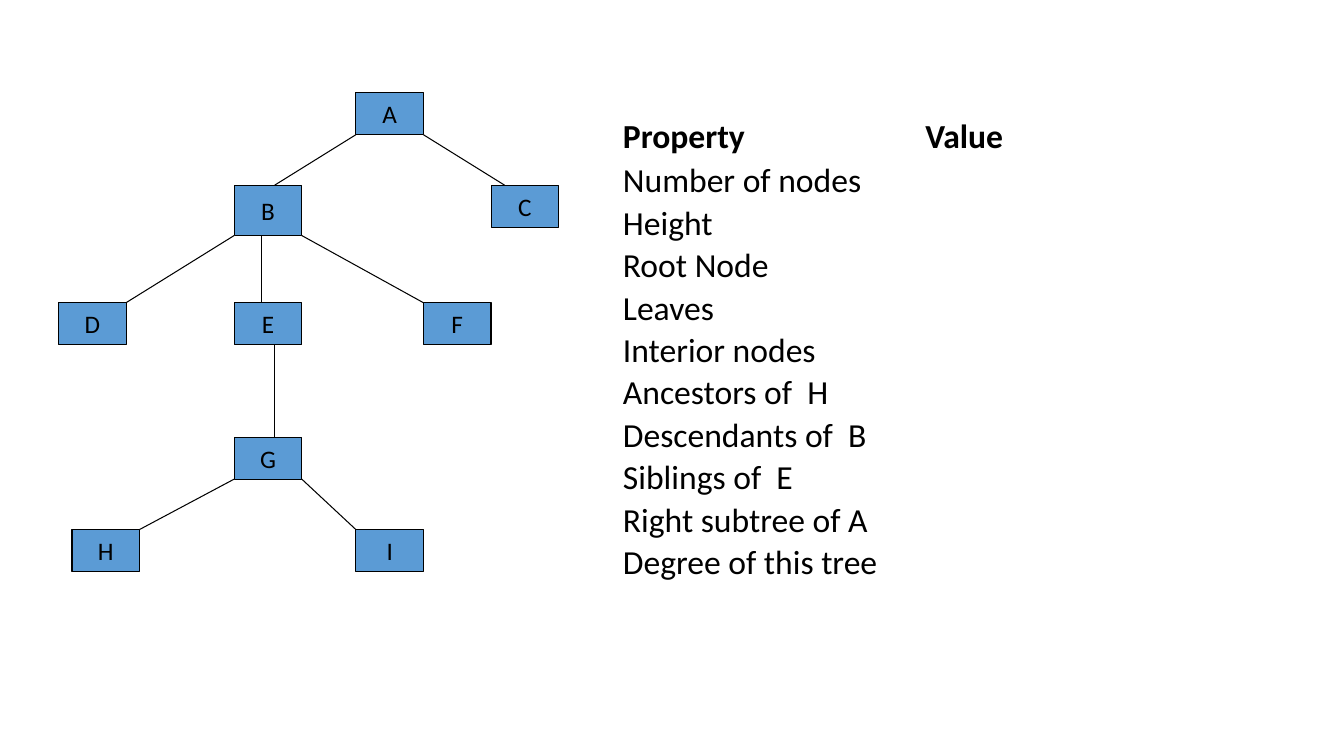
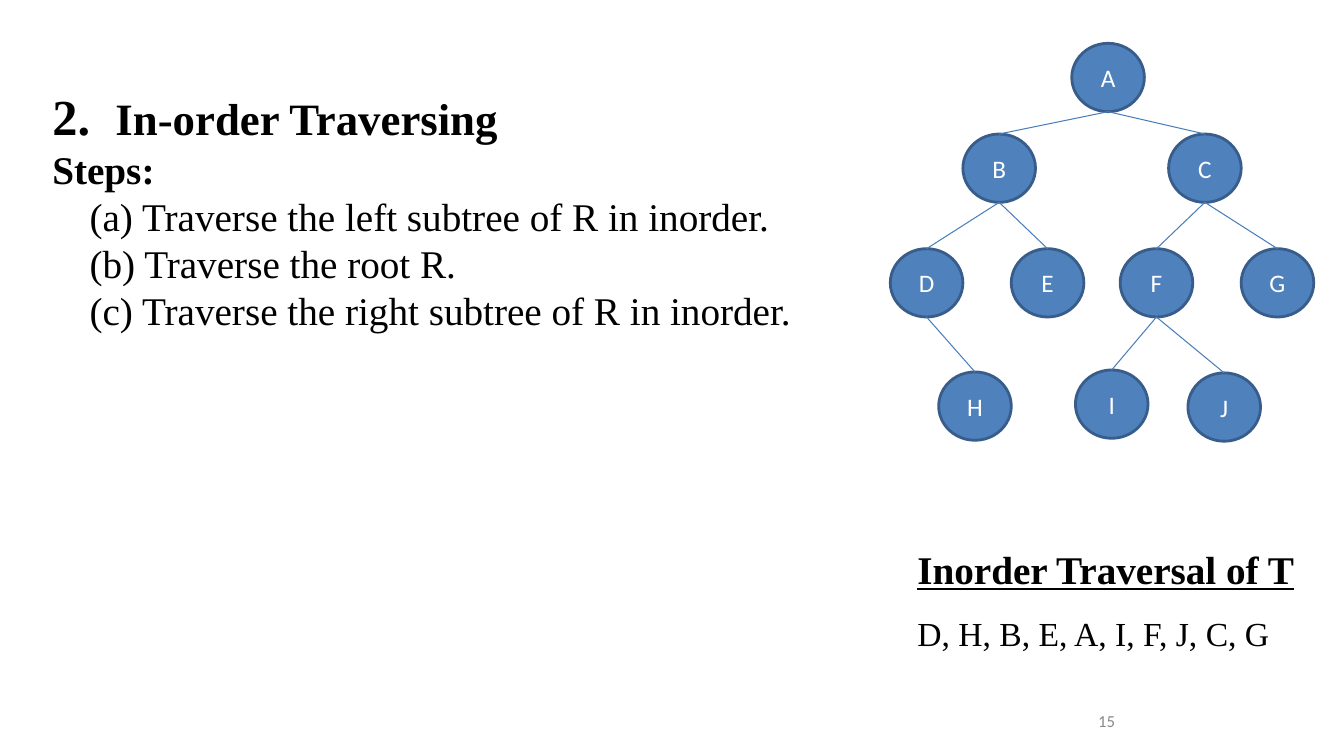
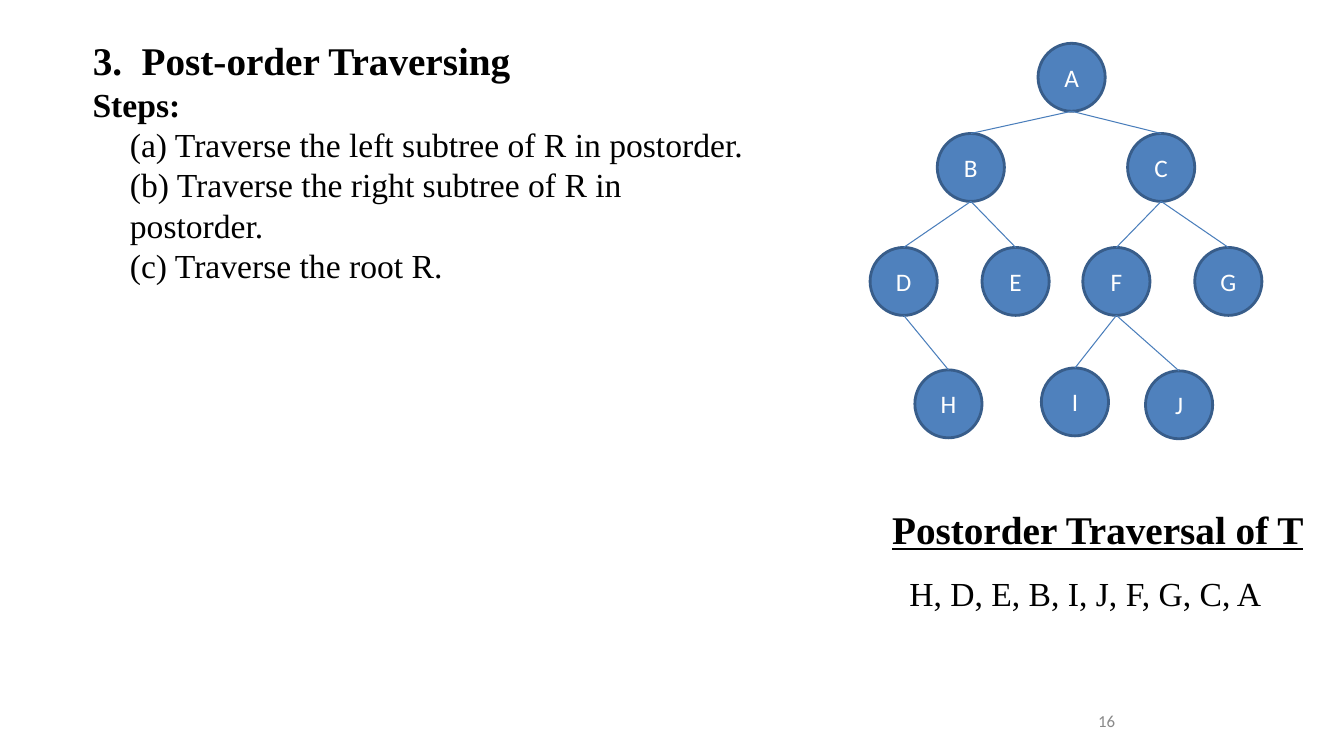
from dataclasses import dataclass
from typing import Any, NamedTuple

from lxml import etree
from pptx import Presentation
from pptx import util as u
from pptx.dml.color import RGBColor
from pptx.enum import shapes, text
from pptx.oxml import ns

BLACK = RGBColor(0x00, 0x00, 0x00)
WHITE = RGBColor(0xFF, 0xFF, 0xFF)
GRAY = RGBColor(0x89, 0x89, 0x89)
SKY = RGBColor(0x5B, 0x9B, 0xD5)
BLUE = RGBColor(0x4F, 0x81, 0xBD)
NAVY = RGBColor(0x38, 0x5D, 0x8A)
EDGE_BLUE = RGBColor(0x4A, 0x7E, 0xBB)

SANS, SERIF = "Calibri", "Times New Roman"
TITLE_ONLY, BLANK = 5, 6
INDENT = 0.37
TAB_STOP = 3


class Box(NamedTuple):
    left: float
    top: float
    width: float
    height: float

    def emu(self) -> list[int]:
        return [u.Inches(v) for v in self]


class Grid(NamedTuple):
    """Origin of a tree and the size of one column and one row, in inches."""
    left: float
    top: float
    col: float
    row: float

    def point(self, col: float, row: float) -> tuple[int, int]:
        return (u.Inches(self.left + col * self.col),
                u.Inches(self.top + row * self.row))


class Node(NamedTuple):
    label: str
    col: float
    row: float
    cols: float
    rows: float


class NodeStyle(NamedTuple):
    preset: shapes.MSO_SHAPE
    fill: RGBColor
    line: RGBColor
    weight: float
    color: RGBColor
    wrap: bool


@dataclass
class Para:
    """One paragraph; each run is a pair of wording and size."""
    runs: list[tuple[str, float]]
    bold: bool = False
    underline: bool = False
    indent: float = 0
    fmt: dict[str, Any] | None = None


@dataclass
class Traversal:
    number: str
    title: Para
    title_box: Box
    size: float
    steps: list[str]
    steps_height: float
    grid: Grid
    result_box: Box
    result: list[Para]


RECT_STYLE = NodeStyle(shapes.MSO_SHAPE.RECTANGLE, SKY, BLACK, 0.75, BLACK, False)
OVAL_STYLE = NodeStyle(shapes.MSO_SHAPE.OVAL, BLUE, NAVY, 2, WHITE, True)

RECT_GRID = Grid(0.58, 0.92, 4.29 / 32, 1 / 12)
RECT_NODES = [
    Node(label, col, row, 5, 6 if label == "B" else 5)
    for label, col, row in [
        ("A", 22, 0), ("B", 13, 11), ("C", 32, 11), ("D", 0, 25), ("E", 13, 25),
        ("F", 27, 25), ("G", 13, 41), ("H", 1, 52), ("I", 22, 52)]]
RECT_EDGES = [
    ((27, 5), (33, 11)), ((22, 5), (16, 11)), ((15, 17), (15, 25)),
    ((13, 17), (5, 25)), ((18, 17), (27, 25)), ((16, 30), (16, 41)),
    ((18, 46), (22, 52)), ((13, 46), (6, 52))]

OVAL_NODES = [
    Node(label, col, row, 6, 20.8)
    for label, col, row in [
        ("A", 15, 0), ("B", 6, 27.6), ("C", 23, 27.6), ("D", 0, 62.5),
        ("E", 10, 62.5), ("F", 19, 62.5), ("G", 29, 62.5), ("H", 4, 100),
        ("I", 15.3, 99.4), ("J", 24.6, 100.3)]]
OVAL_EDGES = ["AB", "AC", "BE", "BD", "CG", "CF", "DH", "FI", "FJ"]

PROPERTIES = [
    "Number of nodes", "Height", "Root Node", "Leaves", "Interior nodes",
    "Ancestors of  H", "Descendants of  B", "Siblings of  E",
    "Right subtree of A", "Degree of this tree"]

LOOSE = {"line_spacing": 1.5}
TRAVERSALS = [
    Traversal(
        "15", Para([("2.  ", 36), ("In-order Traversing", 32)], bold=True),
        Box(0.42, 0.79, 7.62, 0.7), 28,
        ["(a) Traverse the left subtree of R in inorder.",
         "(b) Traverse the root R.",
         "(c) Traverse the right subtree of R in inorder."],
        2.47, Grid(8.83, 0.43, 3.48 / 29, 3.26 / 100), Box(9, 5.13, 4.27, 1.42),
        [Para([("Inorder Traversal of T", 28)], True, True, fmt=LOOSE),
         Para([("D, H, B, E, A, I, F, J, C, G", 24)], fmt=LOOSE)]),
    Traversal(
        "16", Para([("3.  Post-order Traversing", 28)], bold=True),
        Box(0.82, 0.31, 6.83, 0.57), 24,
        ["(a) Traverse the left subtree of R in postorder.",
         "(b) Traverse the right subtree of R in postorder.",
         "(c) Traverse the root R."],
        2.93, Grid(8.63, 0.43, 3.22 / 29, 3.24 / 100), Box(8.75, 4.73, 4.28, 1.42),
        [Para([("Postorder Traversal of T", 28)], True, True, fmt=LOOSE),
         Para([("H, D, E, B, I, J, F, G, C, A", 24)], indent=0.17, fmt=LOOSE)]),
]


def set_all(obj: Any, **values: Any) -> None:
    for name, value in values.items():
        setattr(obj, name, value)


def write(tf: Any, paras: list[Para], font: str, color: RGBColor = BLACK) -> None:
    for i, para in enumerate(paras):
        p = tf.add_paragraph() if i else tf.paragraphs[0]
        set_all(p, **(para.fmt or {}))
        if para.indent:
            p._p.get_or_add_pPr().set("marL", str(u.Inches(para.indent)))
        for wording, size in para.runs:
            r = p.add_run()
            r.text = wording
            set_all(r.font, name=font, size=u.Pt(size), bold=para.bold,
                    underline=para.underline)
            r.font.color.rgb = color


def add_text(s: Any, box: Box, paras: list[Para], font: str,
             color: RGBColor = BLACK) -> Any:
    tf = s.shapes.add_textbox(*box.emu()).text_frame
    set_all(tf, word_wrap=True, auto_size=text.MSO_AUTO_SIZE.SHAPE_TO_FIT_TEXT)
    write(tf, paras, font, color)
    return tf


def add_node(s: Any, grid: Grid, node: Node, style: NodeStyle) -> Any:
    sp = s.shapes.add_shape(
        style.preset, *grid.point(node.col, node.row),
        u.Inches(node.cols * grid.col), u.Inches(node.rows * grid.row))
    sp.shadow.inherit = False
    sp.fill.solid()
    sp.fill.fore_color.rgb = style.fill
    sp.line.color.rgb = style.line
    sp.line.width = u.Pt(style.weight)
    set_all(sp.text_frame, word_wrap=style.wrap,
            vertical_anchor=text.MSO_ANCHOR.MIDDLE)
    label = Para([(node.label, 18)], fmt={"alignment": text.PP_ALIGN.CENTER})
    write(sp.text_frame, [label], SANS, style.color)
    return sp


def add_edge(s: Any, start: tuple[int, int], end: tuple[int, int],
             color: RGBColor) -> Any:
    line = s.shapes.add_connector(shapes.MSO_CONNECTOR.STRAIGHT, *start, *end)
    line.line.color.rgb = color
    line.line.width = u.Pt(0.75)
    etree.SubElement(line._element.spPr, ns.qn("a:effectLst"))
    return line


def add_tab_stop(p: Any, inches: float) -> None:
    tabs = etree.SubElement(p._p.get_or_add_pPr(), ns.qn("a:tabLst"))
    etree.SubElement(tabs, ns.qn("a:tab"), pos=str(u.Inches(inches)), algn="l")


def properties_slide(prs: Any) -> None:
    s = prs.slides.add_slide(prs.slide_layouts[BLANK])
    for node in RECT_NODES:
        add_node(s, RECT_GRID, node, RECT_STYLE)
    for start, end in RECT_EDGES:
        add_edge(s, RECT_GRID.point(*start), RECT_GRID.point(*end), BLACK)
    tight = {"line_spacing": 0.6, "space_before": u.Pt(13)}
    header = Para([("Property\tValue", 24)], bold=True)
    rows = [Para([(name, 24)], fmt=tight) for name in PROPERTIES]
    tf = add_text(s, Box(6.08, 1.09, 4.81, 5.18), [header, *rows], SANS)
    add_tab_stop(tf.paragraphs[0], TAB_STOP)


def add_oval_tree(s: Any, grid: Grid) -> None:
    ovals = {n.label: add_node(s, grid, n, OVAL_STYLE) for n in OVAL_NODES}
    for parent, child in OVAL_EDGES:
        top, low = ovals[parent], ovals[child]
        start = (top.left + top.width // 2, top.top + top.height)
        line = add_edge(s, start, (low.left + low.width // 2, low.top), EDGE_BLUE)
        line.end_connect(low, 0)


def traversal_slide(prs: Any, t: Traversal) -> None:
    s = prs.slides.add_slide(prs.slide_layouts[TITLE_ONLY])
    title, box = s.shapes.title, t.title_box
    set_all(title, **dict(zip(("left", "top", "width", "height"), box.emu())))
    set_all(title.text_frame, word_wrap=True, auto_size=text.MSO_AUTO_SIZE.NONE,
            vertical_anchor=text.MSO_ANCHOR.TOP)
    t.title.fmt = {"alignment": text.PP_ALIGN.LEFT}
    write(title.text_frame, [t.title], SERIF)

    steps = [Para([(step, t.size)], indent=INDENT) for step in t.steps]
    add_text(s, Box(box.left, box.top + box.height - 0.1, box.width, t.steps_height),
             [Para([("Steps:", t.size)], bold=True), *steps], SERIF)
    add_oval_tree(s, t.grid)
    add_text(s, t.result_box, t.result, SERIF)

    number = Para([(t.number, 12)], fmt={"alignment": text.PP_ALIGN.RIGHT})
    tf = add_text(s, Box(8.83, 6.95, 2.33, 0.4), [number], SANS, GRAY)
    set_all(tf, auto_size=text.MSO_AUTO_SIZE.NONE,
            vertical_anchor=text.MSO_ANCHOR.MIDDLE)


def main() -> None:
    prs = Presentation()
    set_all(prs, slide_width=u.Inches(13.33), slide_height=u.Inches(7.5))
    properties_slide(prs)
    for t in TRAVERSALS:
        traversal_slide(prs, t)
    prs.save("out.pptx")


if __name__ == "__main__":
    main()
